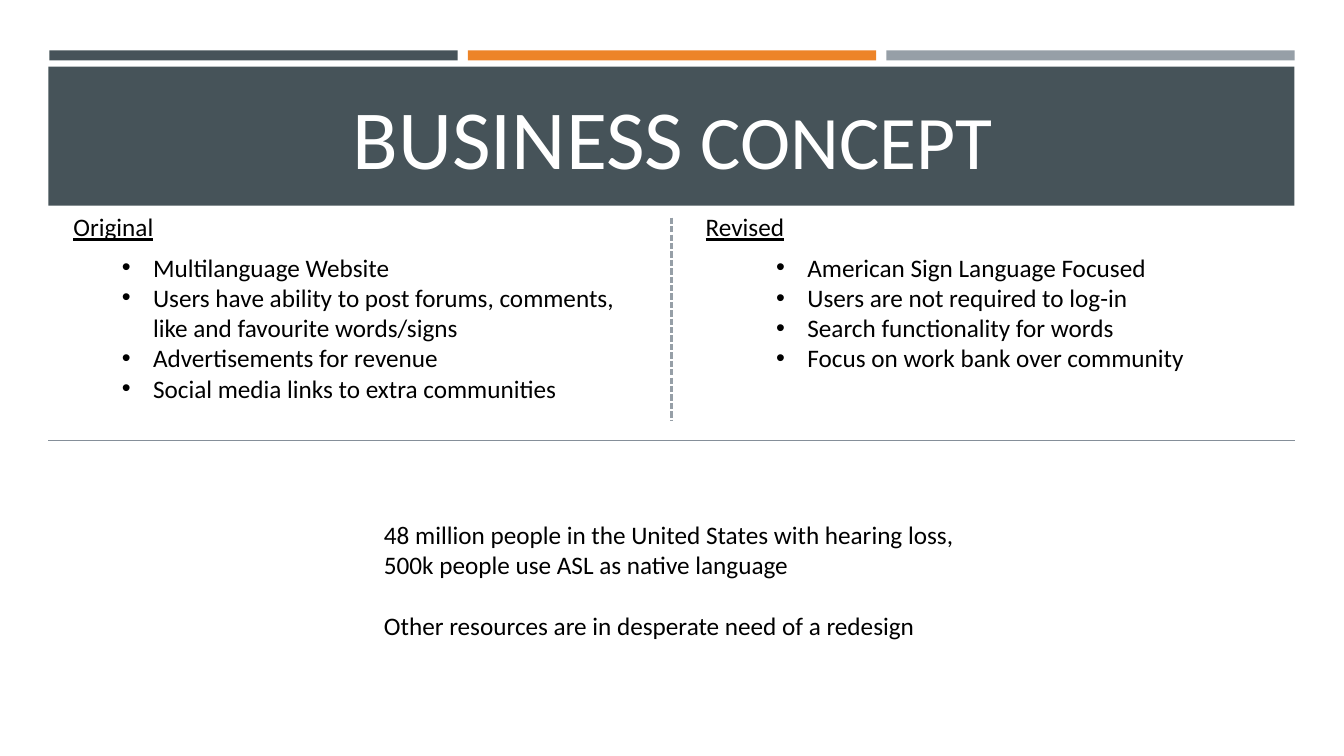
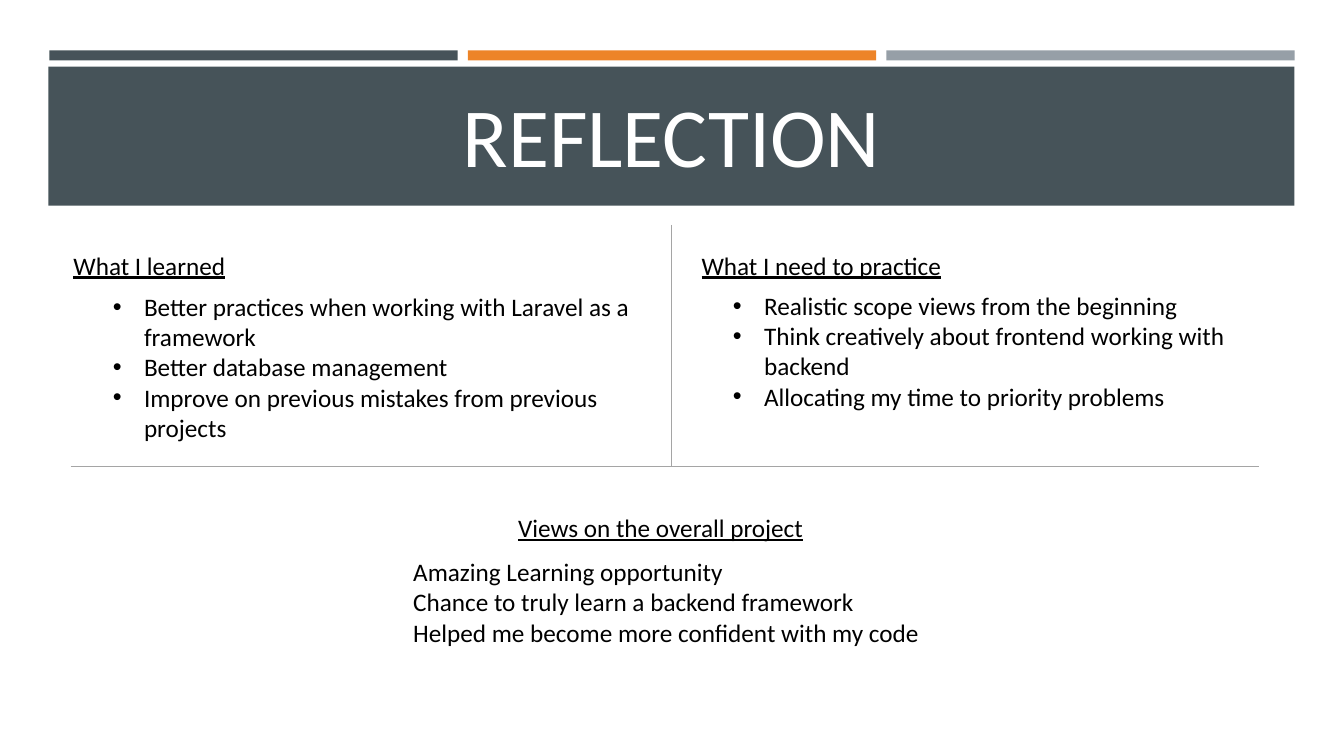
from dataclasses import dataclass
from typing import Sequence

from lxml.etree import SubElement
from pptx import Presentation
from pptx.dml.color import RGBColor
from pptx.enum.dml import MSO_LINE
from pptx.enum.shapes import MSO_CONNECTOR, MSO_SHAPE
from pptx.enum.text import MSO_ANCHOR, PP_ALIGN
from pptx.oxml.ns import qn
from pptx.slide import Slide
from pptx.util import Emu, Pt

PX = 9144
FONT = "Calibri"
SLATE = RGBColor(0x46, 0x53, 0x59)
ORANGE = RGBColor(0xED, 0x84, 0x28)
SILVER = RGBColor(0x96, 0x9F, 0xA7)
STEEL = RGBColor(0x85, 0x8F, 0x99)
GRAY = RGBColor(0xA5, 0xA5, 0xA5)
BLACK = RGBColor(0, 0, 0)
WHITE = RGBColor(0xFF, 0xFF, 0xFF)
BODY_SIZE = 18
BULLET_INDENT = 31
STRIP_LEFT, STRIP_WIDTH, STRIP_GAP = 49, 405, 10


@dataclass(frozen=True)
class Box:
    left: int
    top: int
    width: int
    height: int


@dataclass(frozen=True)
class Heading:
    text: str
    box: Box
    rule: int


@dataclass(frozen=True)
class Block:
    lines: Sequence[str]
    box: Box
    bullets: bool = True
    gaps: Sequence[int] = ()


@dataclass(frozen=True)
class Divider:
    x1: int
    y1: int
    x2: int
    y2: int
    color: RGBColor
    weight: float
    dashed: bool = False


@dataclass(frozen=True)
class Page:
    title: Sequence[tuple[str, int]]
    title_box: Box
    headings: Sequence[Heading]
    blocks: Sequence[Block]
    dividers: Sequence[Divider]


PAGES = [
    Page(
        title=[("BUSINESS", 60), (" CONCEPT", 54)],
        title_box=Box(64, 78, 1206, 112),
        headings=[
            Heading("Original", Box(63, 205, 153, 40), 114),
            Heading("Revised", Box(690, 205, 149, 40), 112),
        ],
        blocks=[
            Block(
                [
                    "Multilanguage Website",
                    "Users have ability to post forums, comments, like and favourite words/signs",
                    "Advertisements for revenue",
                    "Social media links to extra communities",
                ],
                Box(111, 245, 547, 190),
            ),
            Block(
                [
                    "American Sign Language Focused",
                    "Users are not required to log-in",
                    "Search functionality for words",
                    "Focus on work bank over community",
                ],
                Box(760, 245, 547, 131),
            ),
            Block(
                [
                    "48 million people in the United States with hearing loss,",
                    "500k people use ASL as native language",
                    "Other resources are in desperate need of a redesign",
                ],
                Box(371, 510, 672, 162),
                bullets=False,
                gaps=(0, 0, 22),
            ),
        ],
        dividers=[
            Divider(666, 216, 666, 417, SILVER, 1.5, dashed=True),
            Divider(48, 437, 1284, 437, STEEL, 1),
        ],
    ),
    Page(
        title=[("REFLECTION", 60)],
        title_box=Box(63, 80, 1206, 108),
        headings=[
            Heading("What I learned", Box(63, 243, 196, 40), 173),
            Heading("What I need to practice", Box(686, 243, 284, 40), 260),
            Heading("Views on the overall project", Box(504, 503, 324, 40), 300),
        ],
        blocks=[
            Block(
                [
                    "Better practices when working with Laravel as a framework",
                    "Better database management",
                    "Improve on previous mistakes from previous projects",
                ],
                Box(102, 284, 532, 162),
            ),
            Block(
                [
                    "Realistic scope views from the beginning",
                    "Think creatively about frontend working with backend",
                    "Allocating my time to priority problems",
                ],
                Box(717, 283, 532, 131),
            ),
            Block(
                [
                    "Amazing Learning opportunity",
                    "Chance to truly learn a backend framework",
                    "Helped me become more confident with my code",
                ],
                Box(400, 547, 532, 101),
                bullets=False,
            ),
        ],
        dividers=[
            Divider(666, 223, 666, 463, GRAY, 0.5),
            Divider(70, 463, 1249, 463, GRAY, 0.5),
        ],
    ),
]


def px(n: int) -> Emu:
    return Emu(n * PX)


def place(box: Box) -> tuple[Emu, Emu, Emu, Emu]:
    return px(box.left), px(box.top), px(box.width), px(box.height)


def add_bar(s: Slide, box: Box, color: RGBColor) -> None:
    sp = s.shapes.add_shape(MSO_SHAPE.RECTANGLE, *place(box))
    sp.shadow.inherit = False
    sp.fill.solid()
    sp.fill.fore_color.rgb = color
    sp.line.fill.background()


def add_text(
    s: Slide,
    paragraphs: Sequence[Sequence[tuple[str, int]]],
    box: Box,
    *,
    color: RGBColor = BLACK,
    align: PP_ALIGN = PP_ALIGN.LEFT,
    anchor: MSO_ANCHOR = MSO_ANCHOR.TOP,
    underline: bool = False,
    bullets: bool = False,
    tab: int = 0,
    gaps: Sequence[int] = (),
) -> None:
    tf = s.shapes.add_textbox(*place(box)).text_frame
    tf.word_wrap = True
    tf.vertical_anchor = anchor
    for i, runs in enumerate(paragraphs):
        p = tf.add_paragraph() if i else tf.paragraphs[0]
        p.alignment = align
        if gaps and gaps[i]:
            p.space_before = Pt(gaps[i])
        pPr = p._p.get_or_add_pPr()
        if bullets:
            pPr.set("marL", str(px(BULLET_INDENT)))
            pPr.set("indent", str(-px(BULLET_INDENT)))
            SubElement(pPr, qn("a:buFont"), typeface="Arial")
            SubElement(pPr, qn("a:buChar"), char="•")
        if tab:
            tabs = SubElement(pPr, qn("a:tabLst"))
            SubElement(tabs, qn("a:tab"), pos=str(px(tab)), algn="l")
        for text, size in runs:
            r = p.add_run()
            r.text = text
            r.font.name = FONT
            r.font.size = Pt(size)
            r.font.color.rgb = color
            if underline:
                r.font.underline = True


def add_divider(s: Slide, d: Divider) -> None:
    cxn = s.shapes.add_connector(
        MSO_CONNECTOR.STRAIGHT, px(d.x1), px(d.y1), px(d.x2), px(d.y2)
    )
    cxn.line.color.rgb = d.color
    cxn.line.width = Pt(d.weight)
    if d.dashed:
        cxn.line.dash_style = MSO_LINE.SQUARE_DOT
    SubElement(cxn._element.spPr, qn("a:effectLst"))


def add_frame(s: Slide) -> None:
    for i, color in enumerate((SLATE, ORANGE, SILVER)):
        left = STRIP_LEFT + i * (STRIP_WIDTH + STRIP_GAP)
        add_bar(s, Box(left, 50, STRIP_WIDTH, 10), color)
    add_bar(s, Box(48, 66, 1236, 138), SLATE)


def add_page(prs: Presentation, page: Page) -> None:
    s = prs.slides.add_slide(prs.slide_layouts[6])
    add_frame(s)
    add_text(
        s,
        [page.title],
        page.title_box,
        color=WHITE,
        align=PP_ALIGN.CENTER,
        anchor=MSO_ANCHOR.BOTTOM,
    )
    for d in page.dividers:
        add_divider(s, d)
    for h in page.headings:
        add_text(s, [[(h.text + "\t", BODY_SIZE)]], h.box, underline=True, tab=h.rule)
    for b in page.blocks:
        lines = [[(line, BODY_SIZE)] for line in b.lines]
        add_text(s, lines, b.box, bullets=b.bullets, gaps=b.gaps)


def main() -> None:
    prs = Presentation()
    prs.slide_width, prs.slide_height = px(1333), px(750)
    for page in PAGES:
        add_page(prs, page)
    prs.save("out.pptx")


if __name__ == "__main__":
    main()
